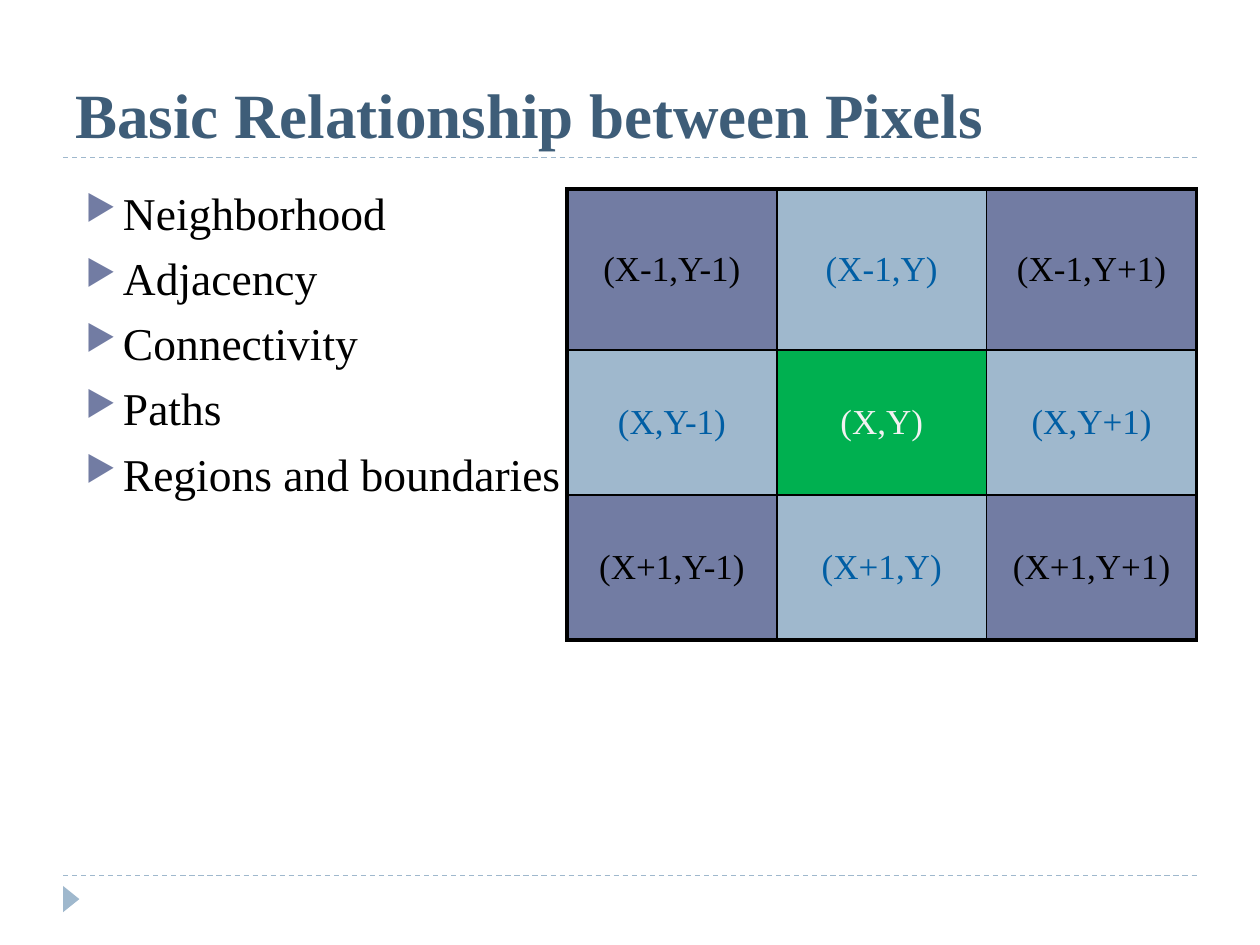
from lxml.etree import SubElement
from pptx import Presentation
from pptx.dml.color import RGBColor
from pptx.enum.dml import MSO_LINE
from pptx.enum.shapes import MSO_CONNECTOR, MSO_SHAPE
from pptx.enum.text import MSO_ANCHOR, PP_ALIGN
from pptx.oxml.ns import qn
from pptx.util import Cm, Pt

PURPLE, LIGHT_BLUE, GREEN = "727CA3", "9FB8CD", "00B050"
BLACK, BLUE, OFF_WHITE, TITLE_BLUE = "000000", "005EA4", "F2F2F2", "3E5D78"


def color(hex_string):
    return RGBColor.from_string(hex_string)


class SlideBuilder:
    font_name = "Times New Roman"
    outer_border, inner_border = 2.25, 1

    def __init__(self, slide):
        self.slide = slide

    def format_runs(self, paragraph, size, hex_string, bold=False):
        for run in paragraph.runs:
            run.font.name = self.font_name
            run.font.size = Pt(size)
            run.font.bold = bold
            run.font.color.rgb = color(hex_string)

    def dashed_rule(self, top):
        connector = self.slide.shapes.add_connector(
            MSO_CONNECTOR.STRAIGHT, Cm(1.27), Cm(top), Cm(24.13), Cm(top))
        connector.line.color.rgb = color(LIGHT_BLUE)
        connector.line.width = Pt(0.75)
        connector.line.dash_style = MSO_LINE.DASH
        SubElement(connector._element.spPr, qn("a:effectLst"))

    def triangle(self, left, top, width, height):
        shape = self.slide.shapes.add_shape(
            MSO_SHAPE.ISOSCELES_TRIANGLE, Cm(left), Cm(top), Cm(width), Cm(height))
        shape.rotation = 90
        shape.shadow.inherit = False
        shape.fill.solid()
        shape.fill.fore_color.rgb = color(LIGHT_BLUE)
        shape.line.fill.background()

    def text(self, lines, left, top, width, height, size, hex_string,
             bold=False, anchor=MSO_ANCHOR.TOP):
        shape = self.slide.shapes.add_textbox(Cm(left), Cm(top), Cm(width), Cm(height))
        text_frame = shape.text_frame
        text_frame.word_wrap = True
        text_frame.vertical_anchor = anchor
        text_frame.text = "\n".join(lines)
        for paragraph in text_frame.paragraphs:
            self.format_runs(paragraph, size, hex_string, bold)
        return text_frame.paragraphs

    def bullets(self, lines, *box, size):
        for paragraph in self.text(lines, *box, size, BLACK):
            paragraph.space_before = Pt(6)
            properties = paragraph._p.get_or_add_pPr()
            properties.set("marL", str(Cm(0.76)))
            properties.set("indent", str(Cm(-0.76)))
            bullet_color = SubElement(properties, qn("a:buClr"))
            SubElement(bullet_color, qn("a:srgbClr"), val=PURPLE)
            SubElement(properties, qn("a:buSzPct"), val="76000")
            SubElement(properties, qn("a:buChar"), char="▶")

    def cell_borders(self, cell, widths):
        properties = cell._tc.get_or_add_tcPr()
        for index, (side, width) in enumerate(widths.items()):
            line = properties.makeelement(qn(f"a:ln{side}"), {"w": str(Pt(width))})
            fill = SubElement(line, qn("a:solidFill"))
            SubElement(fill, qn("a:srgbClr"), val=BLACK)
            properties.insert(index, line)

    def pixel_table(self, left, top, column_width, row_heights, labels, styles):
        count = len(labels)
        table = self.slide.shapes.add_table(
            count, count, Cm(left), Cm(top),
            Cm(column_width * count), Cm(sum(row_heights))).table
        table.first_row = table.horz_banding = False
        last = count - 1
        for index, height in enumerate(row_heights):
            table.rows[index].height = Cm(height)
            table.columns[index].width = Cm(column_width)
        for row, row_labels in enumerate(labels):
            for column, label in enumerate(row_labels):
                cell = table.cell(row, column)
                # City-block distance from the centre picks the style
                fill, text_color = styles[abs(row - 1) + abs(column - 1)]
                cell.fill.solid()
                cell.fill.fore_color.rgb = color(fill)
                cell.vertical_anchor = MSO_ANCHOR.MIDDLE
                cell.text_frame.text = label
                paragraph = cell.text_frame.paragraphs[0]
                paragraph.alignment = PP_ALIGN.CENTER
                self.format_runs(paragraph, 20, text_color)
                edges = {"L": column == 0, "R": column == last,
                         "T": row == 0, "B": row == last}
                self.cell_borders(cell, {
                    side: self.outer_border if is_outer else self.inner_border
                    for side, is_outer in edges.items()})


def main():
    presentation = Presentation()
    presentation.slide_width, presentation.slide_height = Cm(25.4), Cm(19.05)
    builder = SlideBuilder(presentation.slides.add_slide(presentation.slide_layouts[6]))

    # Rules and corner marker
    for top in (17.65, 3.18):
        builder.dashed_rule(top)
    builder.triangle(1.17, 17.96, 0.53, 0.33)

    # Title and topics
    builder.text(["Basic Relationship between Pixels"], 1.27, 0.43, 22.86, 2.74,
                 36, TITLE_BLUE, bold=True, anchor=MSO_ANCHOR.BOTTOM)
    builder.bullets(["Neighborhood", "Adjacency", "Connectivity", "Paths",
                     "Regions and boundaries"], 1.47, 3.61, 22.66, 13.33, size=26)

    # Pixel neighbourhood: centre, direct neighbours, diagonal neighbours
    offsets = ("-1", "", "+1")
    labels = [[f"(X{x},Y{y})" for y in offsets] for x in offsets]
    styles = [(GREEN, OFF_WHITE), (LIGHT_BLUE, BLUE), (PURPLE, BLACK)]
    builder.pixel_table(11.43, 3.81, 4.23, (3.25, 2.92, 2.92), labels, styles)

    presentation.save("out.pptx")


if __name__ == "__main__":
    main()
